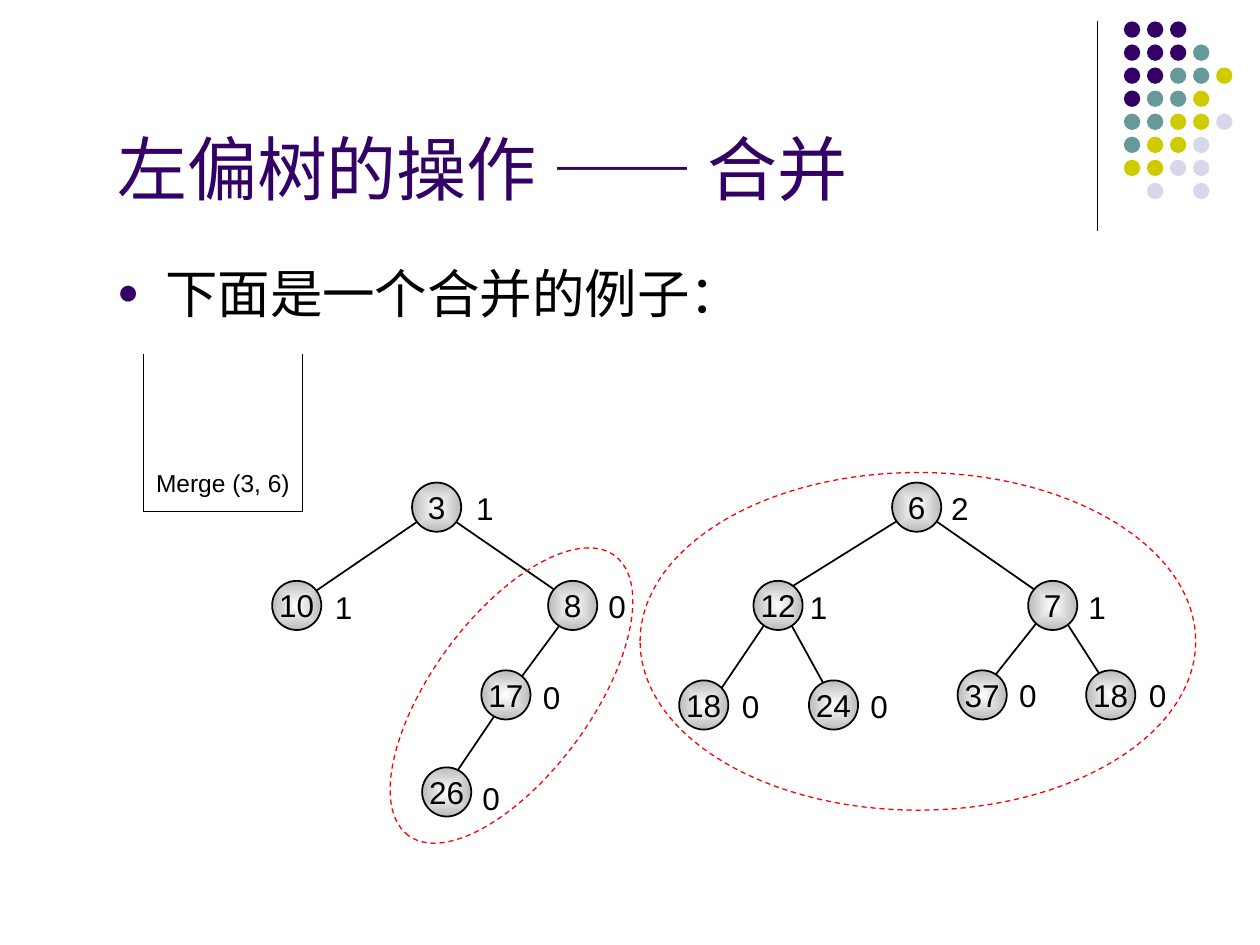
from lxml import etree
from pptx import Presentation
from pptx.dml.color import RGBColor
from pptx.enum.dml import MSO_LINE
from pptx.enum.shapes import MSO_CONNECTOR as CONN, MSO_SHAPE as SHAPE
from pptx.enum.text import MSO_ANCHOR as ANCHOR, MSO_AUTO_SIZE as AUTO, PP_ALIGN as ALIGN
from pptx.oxml import parse_xml
from pptx.oxml.ns import nsdecls, qn
from pptx.util import Inches, Pt

COLS = 100
SLIDE_W, SLIDE_H = Inches(10), Inches(7.5)
UNIT = SLIDE_W / COLS
NODE = 3.9
LABEL_W, LABEL_H = 3.4, 4

PURPLE, BLACK, RED = "330066", "000000", "FF0000"
DOT_COLORS = {"P": PURPLE, "T": "669999", "Y": "CCCC00", "L": "D8D8EC"}
DOT_ROWS = ["PPP", "PPPT", "PPTTY", "PTTY", "TTYYL", "TYYL", "YYLL", " L L"]

# Arial

LEFT_NODES = [
    ("3", 11.1, 0, "1", 4.1, 0), ("10", 0, 7.8, "1", 4, 0.1),
    ("8", 21.9, 7.8, "0", 3.8, 0), ("17", 16.6, 14.9, "0", 3.9, 0.1),
    ("26", 11.9, 22.6, "0", 3.8, 0.4),
]
LEFT_EDGES = [
    (12.7, 2.3, 2.3, 9.4), (13.4, 2.3, 23.7, 9.4),
    (23.8, 10, 18.7, 16.9), (18.4, 17.4, 13.6, 24.5),
]
RIGHT_NODES = [
    ("6", 16.9, 0, "2", 3.7, 0), ("12", 5.9, 7.8, "1", 3.5, 0.1),
    ("18", 0, 15.7, "0", 4, 0), ("24", 10.3, 15.7, "0", 3.9, 0),
    ("37", 22.1, 14.9, "0", 3.9, 0), ("18", 32.3, 14.9, "0", 4, 0),
    ("7", 27.7, 7.8, "1", 3.8, 0.1),
]
RIGHT_EDGES = [
    (7.5, 10.2, 2.7, 17.3), (8.3, 10.2, 12.2, 17.3),
    (18.5, 2.3, 8.4, 8.6), (19.3, 2.3, 29.5, 9.4),
    (29.2, 10.1, 24.2, 16.4), (29.9, 9.8, 34.2, 16.5),
]


def rgb(value):
    return RGBColor.from_string(value)


def grid(*cells):
    return [round(c * UNIT) for c in cells]


def apply(obj, **values):
    for name, value in values.items():
        setattr(obj, name, value)


def add_run(p, text, size, color=BLACK, font="Arial"):
    r = p.add_run()
    r.text = text
    apply(r.font, name=font, size=Pt(size))
    r.font.color.rgb = rgb(color)
    return r


def add_line(slide, x1, y1, x2, y2, width):
    ln = slide.shapes.add_connector(CONN.STRAIGHT, *grid(x1, y1, x2, y2))
    ln.line.color.rgb = rgb(BLACK)
    ln.line.width = Pt(width)
    etree.SubElement(ln._element.spPr, qn("a:effectLst"))


def add_ellipse(slide, box, fill=None, line=None, width=0.75):
    sp = slide.shapes.add_shape(SHAPE.OVAL, *grid(*box))
    sp.shadow.inherit = False
    if fill:
        sp.fill.solid()
        sp.fill.fore_color.rgb = rgb(fill)
    else:
        sp.fill.background()
    if line:
        sp.line.color.rgb = rgb(line)
        sp.line.width = Pt(width)
    else:
        sp.line.fill.background()
    return sp


def add_text(slide, box, text, size, **values):
    tf = slide.shapes.add_textbox(*grid(*box)).text_frame
    apply(tf, **{"auto_size": AUTO.SHAPE_TO_FIT_TEXT, "word_wrap": False, **values})
    add_run(tf.paragraphs[0], text, size)


def shade(sp):
    old = sp._element.spPr.find(qn("a:noFill"))
    old.getparent().replace(old, parse_xml(
        f'<a:gradFill {nsdecls("a")} rotWithShape="1"><a:gsLst>'
        '<a:gs pos="0"><a:srgbClr val="FFFFFF"/></a:gs>'
        '<a:gs pos="100000"><a:srgbClr val="BABABA"/></a:gs></a:gsLst>'
        '<a:path path="shape"><a:fillToRect l="50000" t="50000" r="50000" b="50000"/>'
        '</a:path></a:gradFill>'))


def add_dots(slide, left, top, pitch, size):
    for row, marks in enumerate(DOT_ROWS):
        for col, mark in enumerate(marks):
            if mark in DOT_COLORS:
                box = left + col * pitch, top + row * pitch, size, size
                add_ellipse(slide, box, DOT_COLORS[mark])


def fill_placeholder(sp, box, anchor):
    apply(sp, **dict(zip(("left", "top", "width", "height"), grid(*box))))
    tf = sp.text_frame
    apply(tf, auto_size=AUTO.NONE, word_wrap=True, vertical_anchor=anchor)
    p = tf.paragraphs[0]
    apply(p, alignment=ALIGN.LEFT, space_before=Pt(0))
    return p


def add_title(slide, box):
    p = fill_placeholder(slide.shapes.title, box, ANCHOR.BOTTOM)
    add_run(p, "左偏树的操作 ", 40, PURPLE)
    add_run(p, "—— ", 40, PURPLE, "Noto Sans CJK SC")
    add_run(p, "合并", 40, PURPLE)


def add_body(slide, box):
    p = fill_placeholder(slide.placeholders[1], box, ANCHOR.TOP)
    pPr = p._p.get_or_add_pPr()
    pPr.set("marL", str(Inches(0.38)))
    pPr.set("indent", str(-Inches(0.38)))
    color = etree.SubElement(pPr, qn("a:buClr"))
    etree.SubElement(color, qn("a:srgbClr"), val=PURPLE)
    etree.SubElement(pPr, qn("a:buSzPct"), val="70000")
    etree.SubElement(pPr, qn("a:buFont"), typeface="Arial")
    etree.SubElement(pPr, qn("a:buChar"), char="●")
    add_run(p, "下面是一个合并的例子：", 30)


def add_tree(slide, left, top, nodes, edges):
    for x1, y1, x2, y2 in edges:
        add_line(slide, left + x1, top + y1, left + x2, top + y2, 1)
    for key, x, y, dist, dx, dy in nodes:
        x, y = left + x, top + y
        sp = add_ellipse(slide, (x, y, NODE, NODE), line=BLACK, width=1)
        shade(sp)
        apply(sp.text_frame, word_wrap=False, vertical_anchor=ANCHOR.MIDDLE)
        p = sp.text_frame.paragraphs[0]
        p.alignment = ALIGN.CENTER
        add_run(p, key, 18)
        add_text(slide, (x + dx, y + dy, LABEL_W, LABEL_H), dist, 18)


def add_stack(slide, left, top, width, height):
    right, bottom = left + width, top + height
    add_text(slide, (left, bottom - 3.9, width, 3.3), "Merge (3, 6)", 14,
             word_wrap=True, vertical_anchor=ANCHOR.BOTTOM)
    corners = [(left, top), (left, bottom), (right, bottom), (right, top)]
    for start, end in zip(corners, corners[1:]):
        add_line(slide, *start, *end, 0.75)


def add_outline(slide, box, rotation=0):
    sp = add_ellipse(slide, box, line=RED)
    sp.line.dash_style = MSO_LINE.DASH
    sp.rotation = rotation


def main():
    prs = Presentation()
    apply(prs, slide_width=SLIDE_W, slide_height=SLIDE_H)
    slide = prs.slides.add_slide(prs.slide_layouts[1])
    add_line(slide, 87.1, 1.7, 87.1, 18.3, 0.75)
    add_dots(slide, 89.2, 1.7, 1.83, 1.3)
    add_title(slide, (8.3, 8.4, 85.1, 8.7))
    add_body(slide, (8.3, 20.2, 84.3, 48.8))
    add_tree(slide, 53.9, 38.3, RIGHT_NODES, RIGHT_EDGES)
    add_tree(slide, 21.6, 38.3, LEFT_NODES, LEFT_EDGES)
    add_stack(slide, 11.4, 28.1, 12.6, 12.5)
    add_outline(slide, (26.8, 48.9, 27.6, 12.6), 306.4)
    add_outline(slide, (50.8, 37.5, 44.1, 26.8))
    prs.save("out.pptx")


if __name__ == "__main__":
    main()
